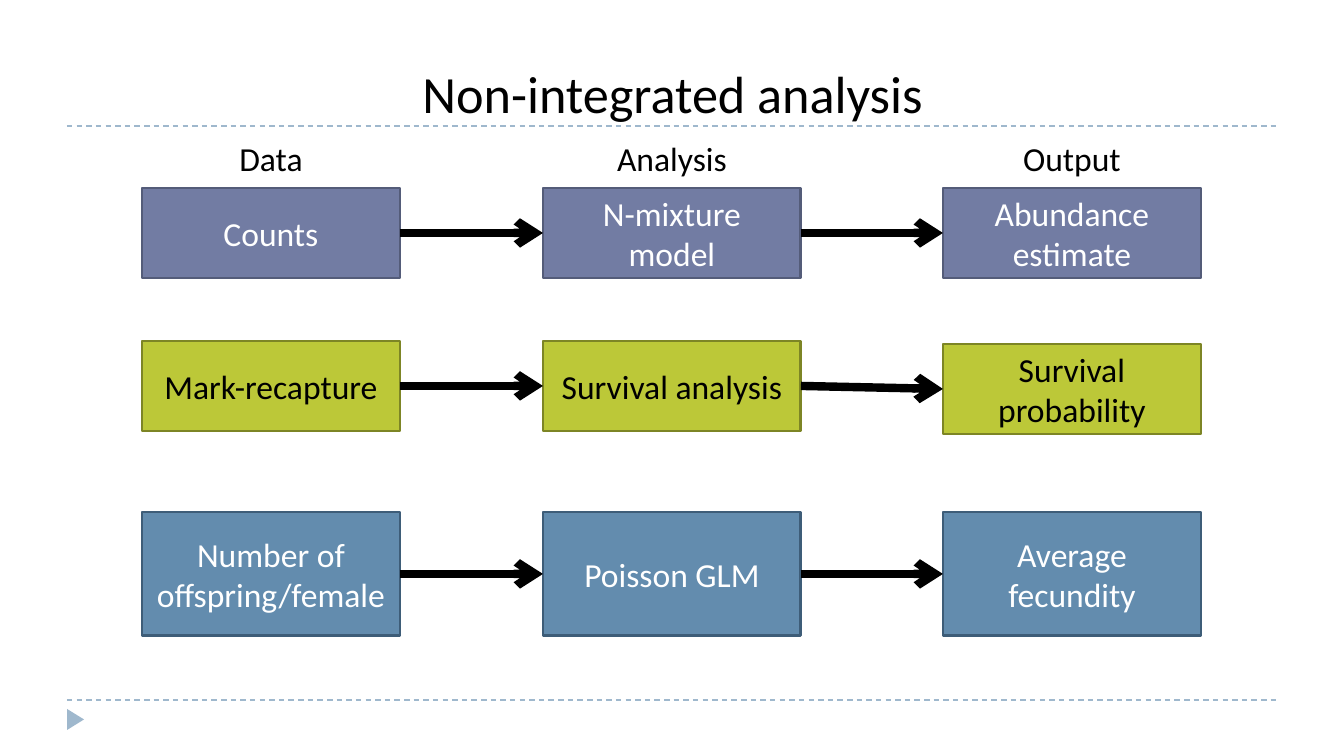
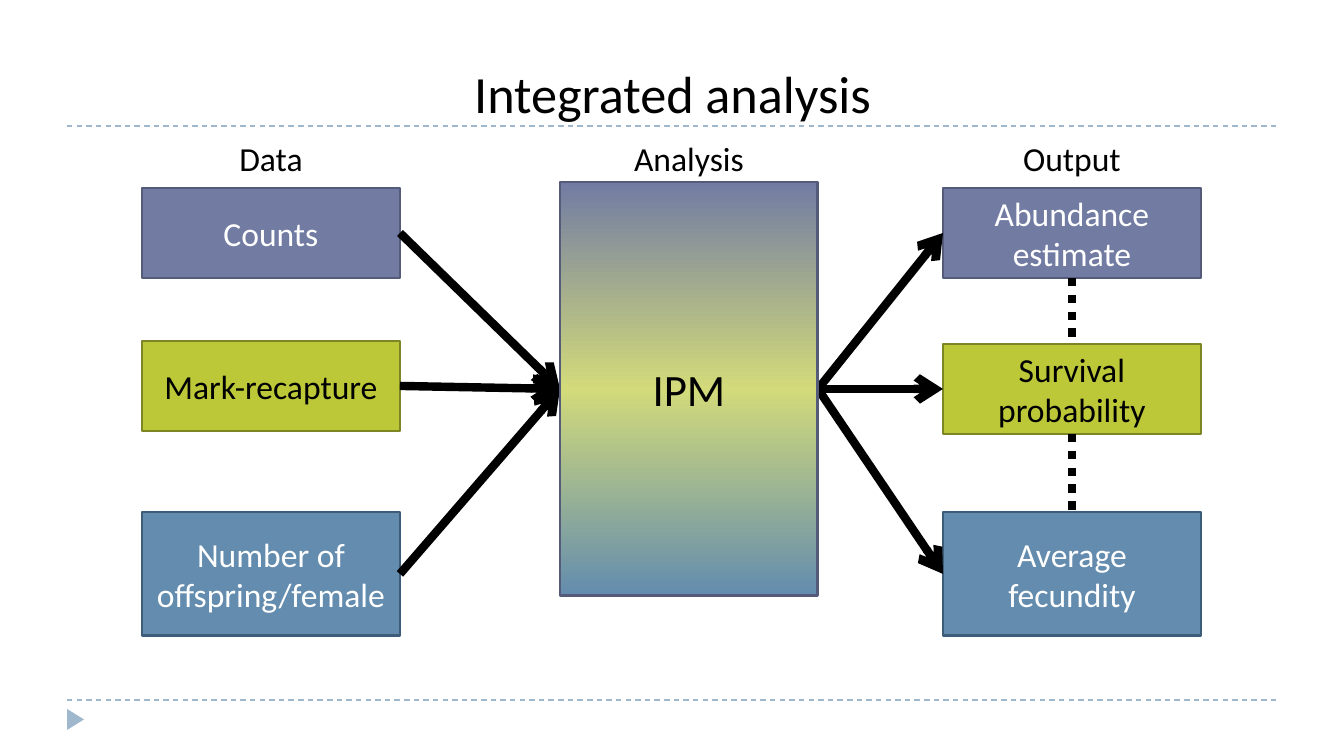
from copy import deepcopy
from lxml.etree import SubElement
from pptx import Presentation
from pptx.dml.color import RGBColor
from pptx.enum.shapes import MSO_CONNECTOR, MSO_SHAPE
from pptx.enum.text import MSO_ANCHOR, MSO_AUTO_SIZE, PP_ALIGN
from pptx.oxml.ns import qn
from pptx.util import Pt

PIXEL = 914400 / 134.4
FONT = "Calibri"
BLACK = RGBColor(0x00, 0x00, 0x00)
WHITE = RGBColor(0xFF, 0xFF, 0xFF)
RULE_BLUE = RGBColor(0x9F, 0xB8, 0xCD)
PURPLE = RGBColor(0x72, 0x7C, 0xA3)
PURPLE_EDGE = RGBColor(0x54, 0x5C, 0x79)
GREEN = RGBColor(0xBC, 0xC8, 0x38)
GREEN_EDGE = RGBColor(0x7D, 0x85, 0x25)
PALE_GREEN = RGBColor(0xD2, 0xDA, 0x7A)
BLUE = RGBColor(0x63, 0x8C, 0xAE)
BLUE_EDGE = RGBColor(0x3E, 0x5D, 0x78)

RIGHT_SIDE, LEFT_SIDE, TOP_SIDE, BOTTOM_SIDE = 3, 1, 0, 2
BOX_WIDTH = 258
DATA_LEFT, ANALYSIS_LEFT, OUTPUT_LEFT = 142, 543, 943
IPM_LEFT = 560
ROWS = [
    (188, 90, PURPLE, PURPLE_EDGE, WHITE),
    (341, 90, GREEN, GREEN_EDGE, BLACK),
    (512, 124, BLUE, BLUE_EDGE, WHITE),
]
DATA = ["Counts", "Mark-recapture", "Number of offspring/female"]
MODELS = ["N-mixture model", "Survival analysis", "Poisson GLM"]
OUTPUTS = ["Abundance estimate", "Survival probability", "Average fecundity"]
SLIDES = [("Non-integrated analysis", ANALYSIS_LEFT), ("Integrated analysis", IPM_LEFT)]


def write(shape, text, size, color, anchor):
    frame = shape.text_frame
    frame.word_wrap = True
    frame.auto_size = MSO_AUTO_SIZE.NONE
    frame.vertical_anchor = anchor
    paragraph = frame.paragraphs[0]
    paragraph.alignment = PP_ALIGN.CENTER
    run = paragraph.add_run()
    run.text = text
    run.font.name = FONT
    run.font.size = Pt(size)
    run.font.color.rgb = color


def style_line(connector, color, width, dash=None, arrow=False):
    connector.line.color.rgb = color
    connector.line.width = Pt(width)
    properties = connector.element.spPr
    outline = properties.find(qn("a:ln"))
    if dash:
        SubElement(outline, qn("a:prstDash")).set("val", dash)
    if arrow:
        SubElement(outline, qn("a:tailEnd")).set("type", "arrow")
    SubElement(properties, qn("a:effectLst"))


presentation = Presentation()
presentation.slide_width = round(1344 * PIXEL)
presentation.slide_height = round(756 * PIXEL)
layout = presentation.slide_layouts[5]
slides = [presentation.slides.add_slide(layout) for _ in SLIDES]

shapes = slides[0].shapes
decorations = []
for y in (700, 126):
    rule = shapes.add_connector(
        MSO_CONNECTOR.STRAIGHT, *[round(v * PIXEL) for v in (67, y, 1277, y)])
    style_line(rule, RULE_BLUE, 0.75, dash="dash")
    decorations.append(rule)
marker = shapes.add_shape(
    MSO_SHAPE.ISOSCELES_TRIANGLE, *[round(v * PIXEL) for v in (65, 711, 21, 17)])
marker.rotation = 90
marker.shadow.inherit = False
marker.fill.solid()
marker.fill.fore_color.rgb = RULE_BLUE
marker.line.fill.background()
decorations.append(marker)
for decoration in decorations:
    layout.shapes._spTree.append(decoration.element)

for slide, (title_text, middle_left) in zip(slides, SLIDES):
    shapes = slide.shapes
    integrated = middle_left == IPM_LEFT
    title = shapes.title
    title.left, title.top, title.width, title.height = [
        round(v * PIXEL) for v in (296, 54, 753, 77)]
    write(title, title_text, 28, BLACK, MSO_ANCHOR.TOP)

    columns = [(DATA_LEFT, DATA), (OUTPUT_LEFT, OUTPUTS)]
    if not integrated:
        columns.insert(1, (ANALYSIS_LEFT, MODELS))
    stages = []
    for left, names in columns:
        boxes = []
        for name, (top, height, fill, edge, ink) in zip(names, ROWS):
            if name == "Survival probability":
                top += 3
            box = shapes.add_shape(
                MSO_SHAPE.RECTANGLE,
                *[round(v * PIXEL) for v in (left, top, BOX_WIDTH, height)])
            box.shadow.inherit = False
            box.fill.solid()
            box.fill.fore_color.rgb = fill
            box.line.color.rgb = edge
            box.line.width = Pt(1.5)
            write(box, name, 18, ink, MSO_ANCHOR.MIDDLE)
            boxes.append(box)
        stages.append(boxes)

    if integrated:
        model = shapes.add_shape(
            MSO_SHAPE.RECTANGLE,
            *[round(v * PIXEL) for v in (IPM_LEFT, 182, BOX_WIDTH, 414)])
        model.shadow.inherit = False
        model.fill.gradient()
        model.fill.gradient_angle = 270
        stop_list = model.element.spPr.find(qn("a:gradFill")).find(qn("a:gsLst"))
        stop_list.insert(1, deepcopy(stop_list[0]))
        stops = zip(model.fill.gradient_stops, (0, 0.5, 1), (PURPLE, PALE_GREEN, BLUE))
        for stop, position, color in stops:
            stop.position = position
            stop.color.rgb = color
        model.line.color.rgb = PURPLE_EDGE
        model.line.width = Pt(1.5)
        write(model, "IPM", 24, BLACK, MSO_ANCHOR.MIDDLE)
        stages.insert(1, [model] * 3)

    links = []
    for sources, targets in zip(stages, stages[1:]):
        for source, target in zip(sources, targets):
            links.append((source, RIGHT_SIDE, target, LEFT_SIDE))
    if integrated:
        for upper, lower in zip(stages[2], stages[2][1:]):
            links.append((upper, BOTTOM_SIDE, lower, TOP_SIDE))
    for source, source_side, target, target_side in links:
        connector = shapes.add_connector(MSO_CONNECTOR.STRAIGHT, 0, 0, 0, 0)
        connector.begin_connect(source, source_side)
        connector.end_connect(target, target_side)
        arrow = source_side == RIGHT_SIDE
        style_line(connector, BLACK, 4.5, dash=None if arrow else "sysDot", arrow=arrow)
    if integrated:
        shapes._spTree.append(model.element)

    headings = zip((DATA_LEFT, middle_left, OUTPUT_LEFT), ("Data", "Analysis", "Output"))
    for left, text in headings:
        heading = shapes.add_textbox(
            *[round(v * PIXEL) for v in (left, 131, BOX_WIDTH, 56)])
        write(heading, text, 18, BLACK, MSO_ANCHOR.TOP)

presentation.save("out.pptx")
